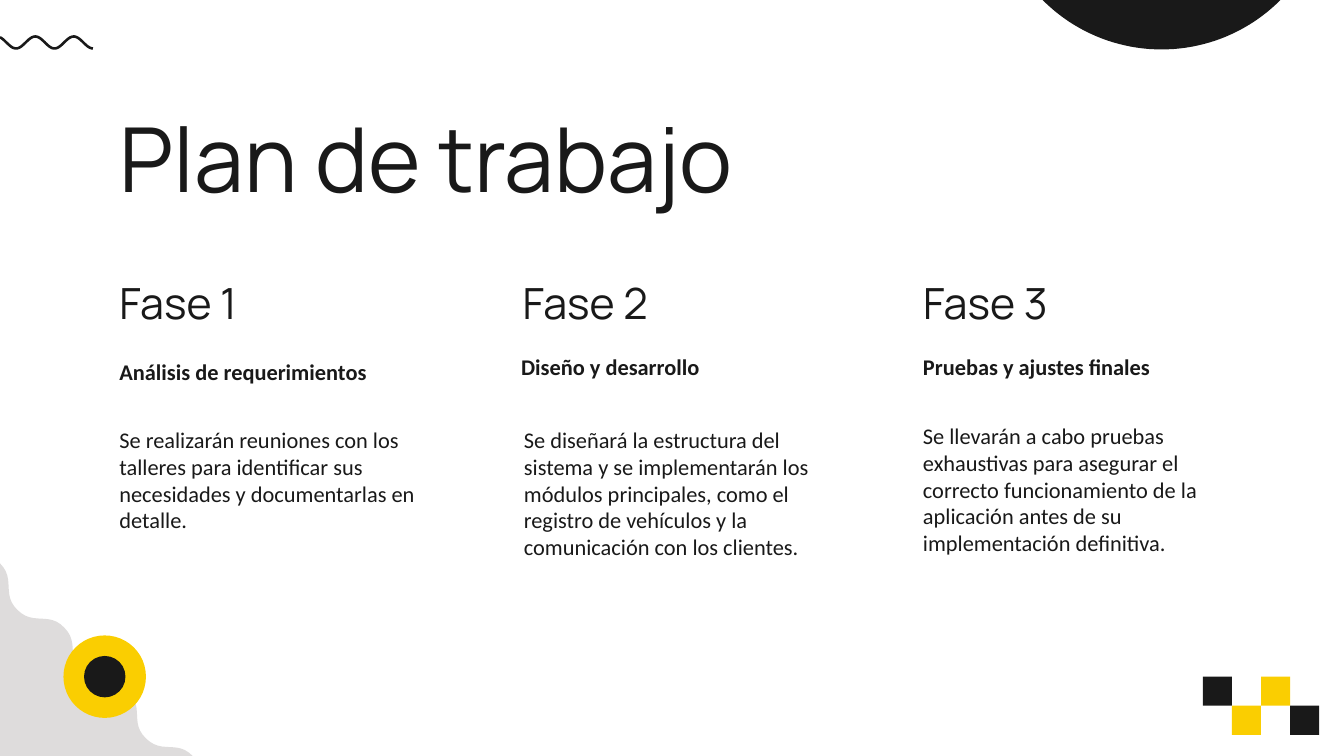
"""Build the three-phase work plan slide."""
from math import cos, pi, sin, sqrt

from pptx import Presentation
from pptx.dml.color import RGBColor
from pptx.enum.shapes import MSO_SHAPE
from pptx.enum.text import MSO_ANCHOR
from pptx.util import Pt

INK = {"dark": "191919", "gold": "FACE01", "gray": "DEDCDC"}

deck = Presentation()
deck.slide_width, deck.slide_height = Pt(720), Pt(405)
slide = deck.slides.add_slide(deck.slide_layouts[6])
shapes = slide.shapes


def paint(shape, ink):
    shape.shadow.inherit = False
    shape.fill.solid()
    shape.fill.fore_color.rgb = RGBColor.from_string(INK[ink])
    shape.line.fill.background()


def write(text, left, top, width, height, size, font, bold=False, anchor=MSO_ANCHOR.TOP):
    frame = shapes.add_textbox(Pt(left), Pt(top), Pt(width), Pt(height)).text_frame
    frame.word_wrap = True
    frame.vertical_anchor = anchor
    frame.margin_left = frame.margin_right = Pt(7.2)
    frame.margin_top = frame.margin_bottom = Pt(7.2)
    run = frame.paragraphs[0].add_run()
    run.text = text
    run.font.size, run.font.name, run.font.bold = Pt(size), font, bold
    run.font.color.rgb = RGBColor.from_string(INK["dark"])


edge = []
x, y = 0, 301.8
for step in range(6):
    bend = [(0, 0), (8.6, 8.6), (0.6, 16.6), (9.4, 25)]
    if step % 2:
        bend = [(down, across) for across, down in bend]
    for part in range(13):
        t = part / 12
        mix = [(1 - t) ** 3, 3 * t * (1 - t) ** 2, 3 * t * t * (1 - t), t ** 3]
        edge.append((x + sum(m * p[0] for m, p in zip(mix, bend)),
                     y + sum(m * p[1] for m, p in zip(mix, bend))))
    x, y = x + bend[3][0], y + bend[3][1]
edge.append((0, 405))

span, last = 20.6, 49.8
wave = []
for part in range(101):
    x = last * part / 100
    wave.append((x, 22.8 + 3.2 * cos(2 * pi * (x - last) / span)))

half, drop = 63.7, 26.5
reach = (half ** 2 + drop ** 2) / (2 * drop)
dome = []
for part in range(61):
    x = half * cos(pi * part / 60)
    dome.append((622.3 + x, drop - reach + sqrt(reach ** 2 - x ** 2)))

for dots, ink, close in ((edge, "gray", True), (wave, "dark", False), (dome, "dark", True)):
    dots = [(Pt(x), Pt(y)) for x, y in dots]
    pen = shapes.build_freeform(*dots[0], scale=1.0)
    pen.add_line_segments(dots[1:], close=close)
    shape = pen.convert_to_shape()
    paint(shape, ink)
    if not close:
        shape.fill.background()
        shape.line.color.rgb = RGBColor.from_string(INK[ink])
        shape.line.width = Pt(1.4)

side = 15.6
for spot, ink in enumerate(("dark", "gold", "gold", "dark")):
    tile = shapes.add_shape(MSO_SHAPE.RECTANGLE, Pt(644.4 + spot * side),
                            Pt(362.5 + spot % 2 * side), Pt(side), Pt(side))
    paint(tile, ink)

for size, ink in ((44.2, "gold"), (22.2, "dark")):
    disc = shapes.add_shape(MSO_SHAPE.OVAL, Pt(56.1 - size / 2), Pt(362.5 - size / 2),
                            Pt(size), Pt(size))
    paint(disc, ink)

write("Plan de trabajo", 56.9, 48.2, 396, 69.8, 48, "Manrope")

phases = [
    ("Fase 1", 56.9, "Análisis de requerimientos", 56.9, 184.5,
     "Se realizarán reuniones con los talleres para identificar sus necesidades "
     "y documentarlas en detalle.", 56.9, 221),
    ("Fase 2", 272.9, "Diseño y desarrollo", 272.1, 182.2,
     "Se diseñará la estructura del sistema y se implementarán los módulos principales, "
     "como el registro de vehículos y la comunicación con los clientes.", 273.6, 221),
    ("Fase 3", 487.4, "Pruebas y ajustes finales", 487.4, 182.2,
     "Se llevarán a cabo pruebas exhaustivas para asegurar el correcto funcionamiento "
     "de la aplicación antes de su implementación definitiva.", 487.4, 218.9),
]
for phase, left, topic, inset, top, body, start, base in phases:
    write(phase, left, 146.2, 90, 36.7, 23, "Manrope", anchor=MSO_ANCHOR.BOTTOM)
    write(topic, inset, top, 172.8, 36.7, 12, "Calibri", bold=True)
    write(body, start, base, 172.8, 100, 12, "Calibri")

deck.save("out.pptx")
